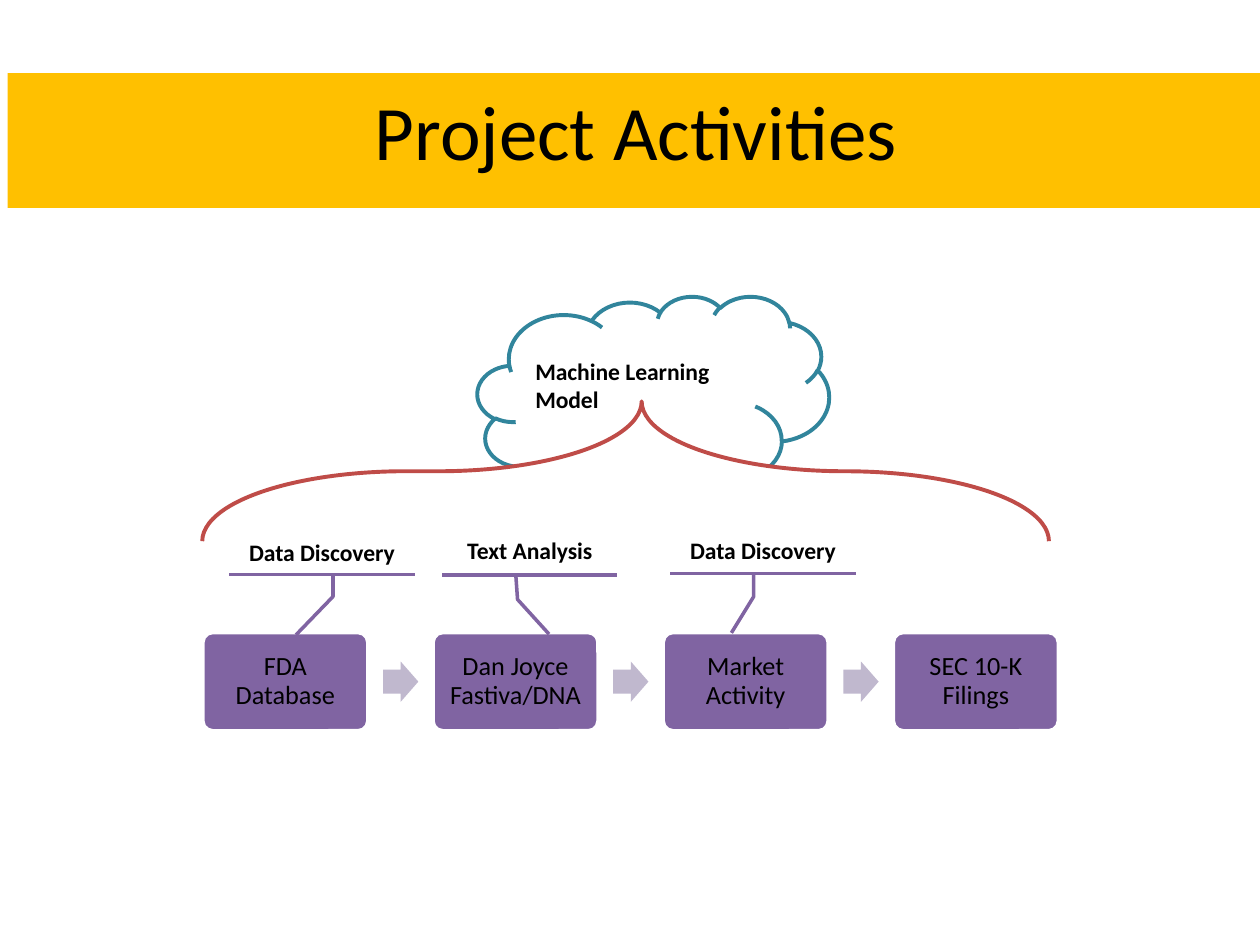
from dataclasses import dataclass

from pptx import Presentation
from pptx.dml.color import RGBColor
from pptx.enum.shapes import MSO_SHAPE as Preset
from pptx.enum.text import MSO_ANCHOR as Anchor, PP_ALIGN as Align
from pptx.util import Inches, Pt


@dataclass(frozen=True)
class Theme:
    """Colours, font and type sizes of the slide."""
    font: str = "Calibri"
    black: str = "000000"
    white: str = "FFFFFF"
    amber: str = "FFC000"
    purple: str = "8064A2"
    lilac: str = "C0B8CE"
    teal: str = "31859C"
    red: str = "BF4C48"
    title_size: float = 44
    card_size: float = 15
    label_size: float = 13.5
    outline: float = 2.25
    thin_line: float = 2


THEME = Theme()
STEPS = ["FDA Database", "Dan Joyce Fastiva/DNA", "Market Activity", "SEC 10-K Filings"]
CALLOUTS = [
    ("Data Discovery", (5.88, 3.63, 0.35, 1.47), (0.45, -0.03, 0.45, -0.56, 0.33, -1.38)),
    ("Text Analysis", (3.95, 3.67, 0.51, 1.39), (0.42, 0.11, 0.43, -0.27, 0.61, -0.81)),
    ("Data Discovery", (2.38, 3.65, 0.35, 1.47), (0.56, 0, 0.56, -0.5, 0.36, -1.37)),
]


def set_format(target, values):
    """Set each named attribute of target."""
    for name, value in values.items():
        setattr(target, name, value)


def write_text(shape, text, size, bold=False, alignment=Align.CENTER, frame=None, paragraph=None):
    """Write one formatted paragraph into a shape."""
    text_frame = shape.text_frame
    set_format(text_frame, {"word_wrap": True, **(frame or {})})
    first = text_frame.paragraphs[0]
    first.text = text
    set_format(first, {"alignment": alignment, **(paragraph or {})})
    font = first.runs[0].font
    set_format(font, {"name": THEME.font, "size": Pt(size), "bold": bold})
    font.color.rgb = RGBColor.from_string(THEME.black)


def add_preset(slide, preset, box, fill=None, line=None, width=THEME.outline,
               adjustments=(), rotation=0):
    """Add a flat preset shape in the given box."""
    shape = slide.shapes.add_shape(preset, *map(Inches, box))
    shape.shadow.inherit = False
    shape.rotation = rotation
    for index, value in enumerate(adjustments):
        shape.adjustments[index] = value
    if fill:
        shape.fill.solid()
        shape.fill.fore_color.rgb = RGBColor.from_string(fill)
    else:
        shape.fill.background()
    if line:
        shape.line.color.rgb = RGBColor.from_string(line)
        shape.line.width = Pt(width)
    else:
        shape.line.fill.background()
    return shape


def place_title(slide, box, text):
    """Turn the title placeholder into the amber band."""
    title = slide.shapes.title
    set_format(title, dict(zip(("left", "top", "width", "height"), map(Inches, box))))
    title.fill.solid()
    title.fill.fore_color.rgb = RGBColor.from_string(THEME.amber)
    write_text(title, text, THEME.title_size,
               frame={"vertical_anchor": Anchor.TOP, "margin_top": Inches(0.08)})


def draw_process(slide, box, steps):
    """Draw equal cards across the box with an arrow in each gap."""
    left, top, width, height = box
    card_width, arrow_width, arrow_height = 1.31, 0.28, 0.32
    pitch = (width - card_width) / (len(steps) - 1)
    margins = {f"margin_{side}": Inches(0.06) for side in ("left", "right", "top", "bottom")}
    for index, step in enumerate(steps):
        card_left = left + index * pitch
        card = add_preset(slide, Preset.ROUNDED_RECTANGLE, (card_left, top, card_width, height),
                          THEME.purple, THEME.white, THEME.thin_line, [0.1])
        write_text(card, step, THEME.card_size,
                   frame={"vertical_anchor": Anchor.MIDDLE, **margins},
                   paragraph={"line_spacing": 0.9})
        if index < len(steps) - 1:
            arrow_top = top + (height - arrow_height) / 2
            add_preset(slide, Preset.RIGHT_ARROW,
                       (card_left + 1.43, arrow_top, arrow_width, arrow_height),
                       THEME.lilac, adjustments=[0.6, 0.5])


def draw_brace(slide, box):
    """Draw the brace that gathers the steps under the model."""
    add_preset(slide, Preset.RIGHT_BRACE, box, THEME.white, THEME.red,
               adjustments=[1.985, 0.519], rotation=270)


def write_model_label(slide, box, text):
    """Write the model name inside the cloud."""
    label = slide.shapes.add_textbox(*map(Inches, box))
    write_text(label, text, THEME.label_size, bold=True, alignment=Align.LEFT)


def draw_callout(slide, box, text, adjustments):
    """Draw a turned accent callout with upright text."""
    callout = add_preset(slide, Preset.LINE_CALLOUT_2_ACCENT_BAR, box, THEME.white,
                         THEME.purple, THEME.thin_line, adjustments, 270)
    write_text(callout, text, THEME.label_size, bold=True,
               frame={"vertical_anchor": Anchor.MIDDLE})
    callout.text_frame._txBody.bodyPr.set("vert", "vert")


def main():
    """Build and save the slide."""
    presentation = Presentation()
    set_format(presentation, {"slide_width": Inches(10), "slide_height": Inches(7.5)})
    slide = presentation.slides.add_slide(presentation.slide_layouts[5])
    place_title(slide, (0.06, 0.58, 9.98, 1.07), "Project Activities")
    add_preset(slide, Preset.CLOUD, (3.79, 2.35, 2.79, 1.65), line=THEME.teal)
    draw_process(slide, (1.61, 5.02, 6.79, 0.78), STEPS)
    draw_brace(slide, (4.41, 0.38, 1.11, 6.72))
    write_model_label(slide, (4.15, 2.78, 2.1, 0.56), "Machine Learning Model")
    for text, box, adjustments in CALLOUTS:
        draw_callout(slide, box, text, adjustments)
    presentation.save("out.pptx")


if __name__ == "__main__":
    main()
